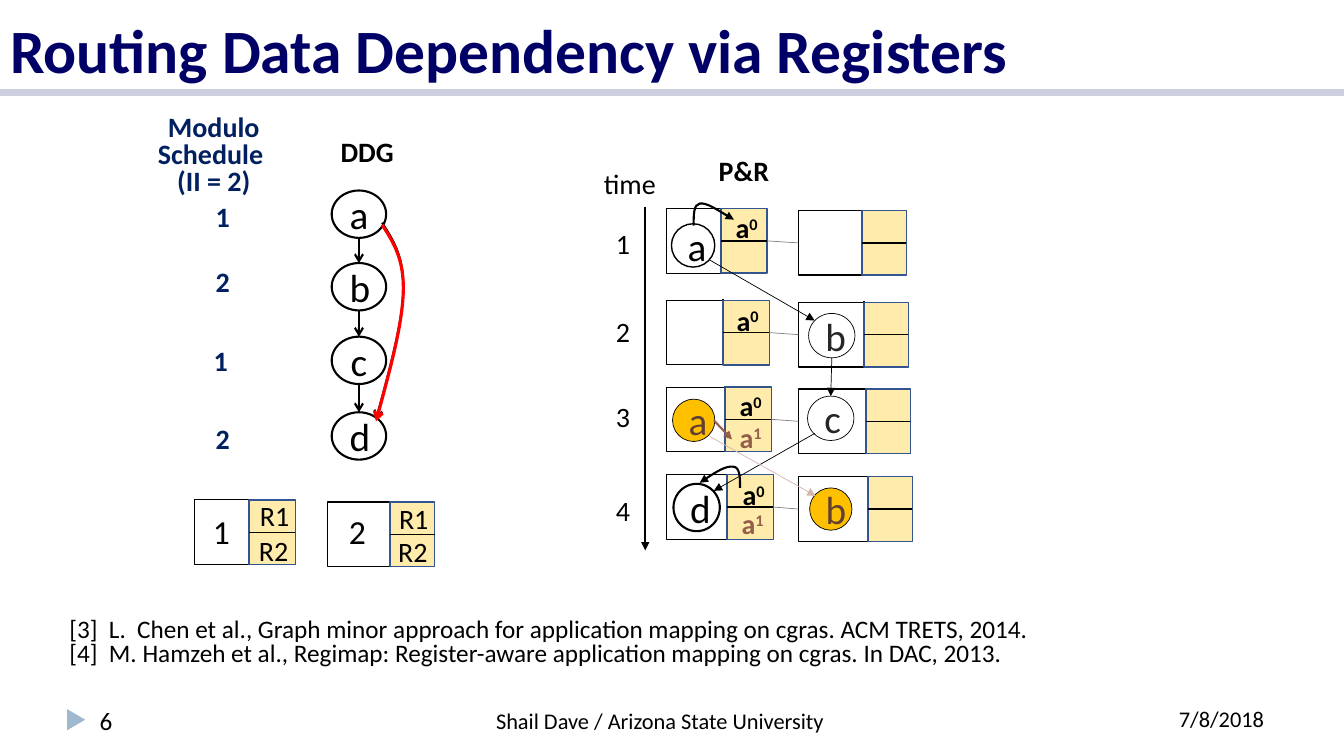
from lxml.etree import SubElement
from pptx import Presentation
from pptx.dml.color import RGBColor
from pptx.enum.shapes import MSO_CONNECTOR, MSO_SHAPE
from pptx.enum.text import MSO_ANCHOR, PP_ALIGN
from pptx.oxml.ns import qn
from pptx.util import Inches, Pt

FONT = "Calibri"
BLACK = RGBColor(0x00, 0x00, 0x00)
WHITE = RGBColor(0xFF, 0xFF, 0xFF)
DARK_GRAY = RGBColor(0x26, 0x26, 0x26)
GRAY = RGBColor(0x80, 0x80, 0x80)
TITLE_BLUE = RGBColor(0x00, 0x00, 0x66)
NAVY = RGBColor(0x00, 0x20, 0x60)
RULE_BLUE = RGBColor(0xCC, 0xD0, 0xE0)
MARKER_BLUE = RGBColor(0x9F, 0xB8, 0xCD)
REGISTER_FILL = RGBColor(0xFF, 0xEB, 0xAB)
REGISTER_LINE = RGBColor(0x32, 0x54, 0x91)
RED = RGBColor(0xFF, 0x00, 0x00)
AMBER = RGBColor(0xFF, 0xC0, 0x00)
DARK_BROWN = RGBColor(0x63, 0x3F, 0x32)
BROWN = RGBColor(0x95, 0x5E, 0x4B)
PALE_BROWN = RGBColor(0xD4, 0xB5, 0xAA)

LEFT, CENTER, JUSTIFY = PP_ALIGN.LEFT, PP_ALIGN.CENTER, PP_ALIGN.JUSTIFY


def format_text(text_frame, size, color=BLACK, bold=False, align=LEFT, spacing=None):
    for paragraph in text_frame.paragraphs:
        paragraph.alignment = align
        if spacing:
            paragraph.line_spacing = spacing
        for run in paragraph.runs:
            run.font.name = FONT
            run.font.size = Pt(size)
            run.font.bold = bold
            run.font.color.rgb = color


def add_label(slide, text, left, top, width, height=0.44, size=20, wrap=True, **style):
    box = slide.shapes.add_textbox(Inches(left), Inches(top), Inches(width), Inches(height))
    box.text_frame.word_wrap = wrap
    box.text_frame.text = text
    format_text(box.text_frame, size, **style)
    return box


def add_value(slide, version, left, top, color):
    """Write the value a with its iteration number as a superscript."""
    box = add_label(slide, "a", left, top, 0.59)
    paragraph = box.text_frame.paragraphs[0]
    superscript = paragraph.add_run()
    superscript.text = version
    format_text(box.text_frame, 20, color, True, CENTER)
    superscript._r.get_or_add_rPr().set("baseline", "30000")


def add_preset(slide, kind, left, top, width, height, fill=None, line=None, weight=1):
    shape = slide.shapes.add_shape(kind, Inches(left), Inches(top), Inches(width), Inches(height))
    shape.shadow.inherit = False
    if fill is None:
        shape.fill.background()
    else:
        shape.fill.solid()
        shape.fill.fore_color.rgb = fill
    if line is None:
        shape.line.fill.background()
    else:
        shape.line.color.rgb = line
        shape.line.width = Pt(weight)
    return shape


def add_node(slide, name, left, top, width, height, fill=WHITE, weight=1.5, color=BLACK):
    node = add_preset(slide, MSO_SHAPE.OVAL, left, top, width, height, fill, BLACK, weight)
    node.text_frame.text = name
    node.text_frame.vertical_anchor = MSO_ANCHOR.MIDDLE
    format_text(node.text_frame, 28, color, align=CENTER)


def style_line(shape, color, weight, head):
    shape.line.color.rgb = color
    shape.line.width = Pt(weight)
    if head:
        SubElement(shape.line._get_or_add_ln(), qn("a:tailEnd"), type=head)


def add_line(slide, x1, y1, x2, y2, color=BLACK, weight=1, head=None):
    line = slide.shapes.add_connector(
        MSO_CONNECTOR.STRAIGHT, Inches(x1), Inches(y1), Inches(x2), Inches(y2))
    style_line(line, color, weight, head)
    SubElement(line._element.spPr, qn("a:effectLst"))
    return line


def add_curve(slide, points, color, weight, head):
    """Draw cubic curves: a start point, then three points for each curve."""
    start, *others = [(Inches(x), Inches(y)) for x, y in points]
    builder = slide.shapes.build_freeform(*start)
    builder.add_line_segments(others, close=False)
    curve = builder.convert_to_shape()
    curve.shadow.inherit = False
    curve.fill.background()
    style_line(curve, color, weight, head)
    outline = next(curve._element.iter(qn("a:path")))
    segments = outline.findall(qn("a:lnTo"))
    for first in range(0, len(segments), 3):
        cubic = SubElement(outline, qn("a:cubicBezTo"))
        for segment in segments[first:first + 3]:
            cubic.append(segment[0])
            outline.remove(segment)


def add_tile(slide, left, top, register_left, register_width, weight):
    """Draw a processing element with its two registers."""
    body = add_preset(slide, MSO_SHAPE.RECTANGLE, left, top,
                      register_left + 0.41 - left, 0.64, None, BLACK, weight)
    add_line(slide, register_left, top - 0.01, register_left, top + 0.64)
    registers = add_preset(slide, MSO_SHAPE.RECTANGLE, register_left, top,
                           register_width, 0.64, REGISTER_FILL, REGISTER_LINE)
    add_line(slide, register_left, top + 0.32, register_left + register_width, top + 0.32)
    return body, registers


def add_frame(slide):
    """Add the title, rule, references and footer."""
    add_line(slide, 0, 0.92, 13.33, 0.92, RULE_BLUE, 5)
    title = slide.shapes.title
    title.left, title.top, title.width, title.height = 0, 0, Inches(13.33), Inches(0.9)
    title.text_frame.text = "Routing Data Dependency via Registers"
    title.text_frame.vertical_anchor = MSO_ANCHOR.BOTTOM
    format_text(title.text_frame, 44, TITLE_BLUE, True)
    add_label(
        slide,
        "[3]  L.  Chen et al., Graph minor approach for application mapping on cgras. ACM TRETS, 2014.\n"
        "[4]  M. Hamzeh et al., Regimap: Register-aware application mapping on cgras. In DAC, 2013.",
        0.59, 6.09, 12.23, 0.59, 18, spacing=0.8)
    marker = add_preset(slide, MSO_SHAPE.ISOSCELES_TRIANGLE, 0.65, 7.05, 0.21, 0.18, MARKER_BLUE)
    marker.rotation = 90
    add_label(slide, "6", 0.89, 6.95, 1.88, 0.4, 18)
    add_label(slide, "Shail Dave / Arizona State University", 4.8, 6.97, 3.49, 0.37, 16,
              wrap=False, align=CENTER)
    add_label(slide, "7/8/2018", 11.4, 6.95, 1.43, 0.4, 16, align=CENTER)


def add_dependency_graph(slide):
    add_label(slide, "Modulo\vSchedule \v(II = 2)", 1.46, 1.1, 1.32, 0.91, wrap=False,
              color=NAVY, bold=True, align=CENTER, spacing=0.8)
    add_label(slide, "DDG", 3.28, 1.29, 0.73, wrap=False, bold=True)
    for slot, left, top in (("1", 2.04, 1.93), ("2", 2.04, 2.58), ("1", 2.02, 3.36), ("2", 2.04, 4.13)):
        add_label(slide, slot, left, top, 0.34, wrap=False, color=NAVY, bold=True)

    node_tops = (1.89, 2.61, 3.34, 4.09)
    for name, top in zip("abcd", node_tops):
        add_node(slide, name, 3.29, top, 0.54, 0.47)
    for top, next_top in zip(node_tops, node_tops[1:]):
        add_line(slide, 3.56, top + 0.47, 3.56, next_top, weight=1.5, head="arrow")

    path = [(3.79, 2.21), (3.9, 2.38), (4.01, 2.55), (4, 2.88), (3.99, 3.2), (3.86, 3.68), (3.73, 4.16)]
    add_curve(slide, path, BLACK, 1.5, "arrow")
    add_curve(slide, [(x, y + 0.02) for x, y in path], RED, 2.25, "arrow")


def add_legend(slide):
    add_tile(slide, 1.93, 4.96, 2.47, 0.46, 0.75)
    add_tile(slide, 3.25, 4.98, 3.87, 0.44, 1)
    add_label(slide, "1", 1.95, 5.02, 0.49, 0.5, 24, align=CENTER)
    add_label(slide, "2", 3.36, 5.02, 0.37, 0.5, 24, wrap=False, align=CENTER)
    for name, left, top in (("R1", 2.48, 4.9), ("R2", 2.47, 5.24), ("R1", 3.86, 4.93), ("R2", 3.85, 5.25)):
        add_label(slide, name, left, top, 0.64)


def add_placement(slide):
    """Draw the placed and routed tiles along the time axis."""
    add_label(slide, "P&R", 7.03, 1.47, 0.71, wrap=False, bold=True)
    add_label(slide, "time", 5.89, 1.6, 0.73, wrap=False)
    add_line(slide, 6.4, 2.05, 6.4, 5.46, weight=1.5, head="triangle")

    for row, (top, label_top) in enumerate(((2.07, 2.2), (2.98, 3.07), (3.84, 3.91), (4.71, 4.85))):
        add_label(slide, str(row + 1), 6.01, label_top, 0.34, wrap=False, align=JUSTIFY)
        shift = 0.02 * row
        _, registers = add_tile(slide, 6.61, top, 7.15 + shift, 0.46, 0.75)
        neighbour, _ = add_tile(slide, 7.92, top + 0.02, 8.55 + shift, 0.44, 1)
        link = add_line(slide, 7.61, top, 7.92, top, GRAY, 0.5)
        link.begin_connect(registers, 3)
        link.end_connect(neighbour, 1)

    add_line(slide, 7.04, 2.58, 8.08, 3.18, weight=0.5, head="triangle")
    add_node(slide, "a", 6.66, 2.22, 0.43, 0.43, weight=1)
    add_node(slide, "b", 8.02, 3.11, 0.46, 0.44, weight=0.5, color=DARK_GRAY)
    add_node(slide, "c", 8.01, 3.93, 0.46, 0.44, weight=0.5, color=DARK_GRAY)
    add_node(slide, "d", 6.68, 4.8, 0.46, 0.47)
    add_node(slide, "a", 6.67, 3.96, 0.42, 0.42, AMBER, 0.5, DARK_BROWN)
    add_node(slide, "b", 8.03, 4.84, 0.42, 0.42, AMBER, 0.5, DARK_BROWN)

    for left, top in ((7.11, 2.04), (7.12, 2.96), (7.15, 3.81), (7.18, 4.69)):
        add_value(slide, "0", left, top, BLACK)
    for left, top in ((7.15, 4.12), (7.17, 4.98)):
        add_value(slide, "1", left, top, BROWN)

    add_line(slide, 8.25, 3.55, 8.24, 3.93, weight=0.5, head="triangle")
    add_line(slide, 8.08, 4.3, 7.08, 4.87, weight=0.5, head="triangle")
    add_line(slide, 7.04, 4.33, 8.09, 4.92, PALE_BROWN, 0.5, "triangle")
    add_line(slide, 7.08, 4.17, 7.26, 4.36, BROWN, 1.5, "triangle")
    for path in (
        [(6.88, 2.24), (6.88, 2.13), (6.88, 2.03), (6.94, 2.02), (7.01, 2.01), (7.14, 2.1), (7.28, 2.18)],
        [(7.34, 4.84), (7.34, 4.74), (7.34, 4.63), (7.27, 4.63), (7.2, 4.62), (7.07, 4.7), (6.94, 4.79)],
    ):
        add_curve(slide, path, BLACK, 1.5, "triangle")


def main():
    presentation = Presentation()
    presentation.slide_width, presentation.slide_height = Inches(13.33), Inches(7.5)
    slide = presentation.slides.add_slide(presentation.slide_layouts[5])
    add_frame(slide)
    add_dependency_graph(slide)
    add_placement(slide)
    add_legend(slide)
    presentation.save("out.pptx")


if __name__ == "__main__":
    main()
